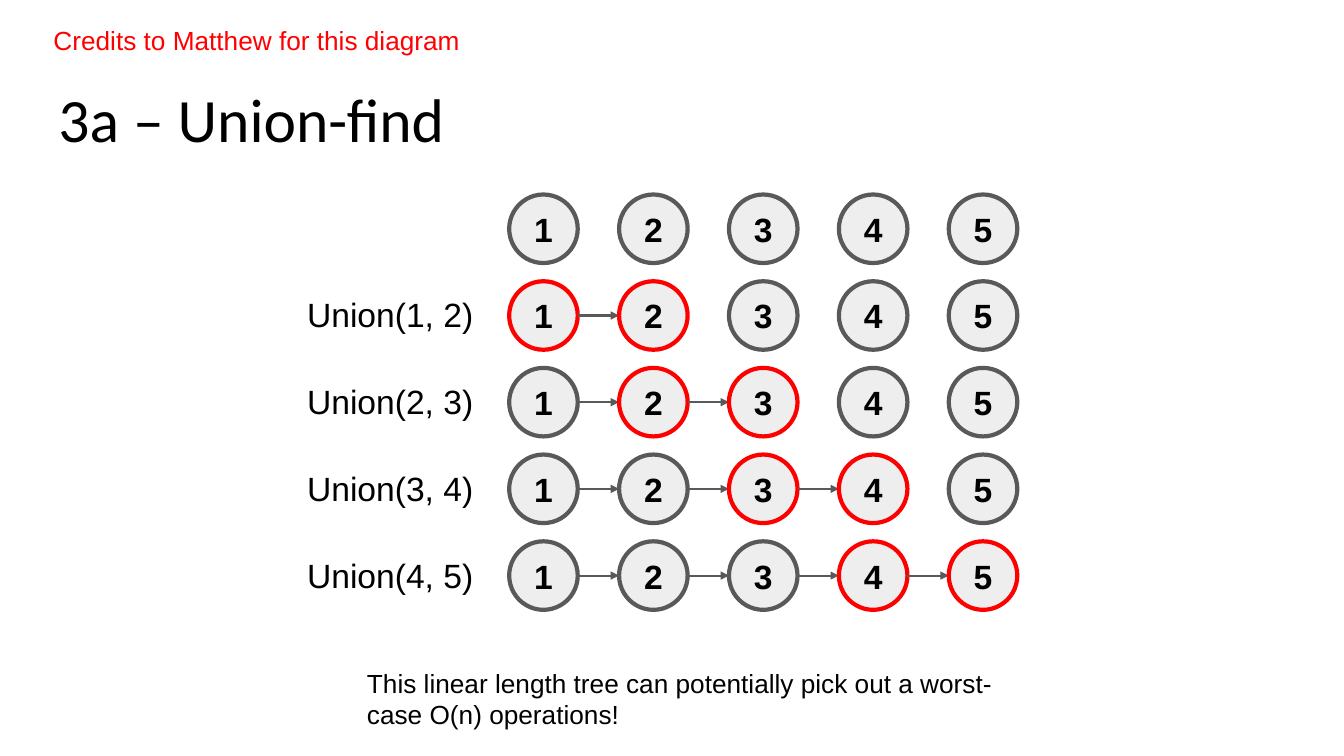
from dataclasses import dataclass

from lxml.etree import SubElement
from pptx import Presentation
from pptx.dml.color import RGBColor
from pptx.enum.shapes import MSO_CONNECTOR, MSO_SHAPE
from pptx.enum.text import MSO_ANCHOR, PP_ALIGN
from pptx.oxml.ns import qn
from pptx.util import Pt

PX = 9144


@dataclass(frozen=True)
class Theme:
    """Colours, fonts, type sizes and line widths of the slide."""
    ink: str = "000000"
    accent: str = "FF0000"
    outline: str = "595959"
    node_fill: str = "EEEEEE"
    heading_font: str = "Calibri"
    body_font: str = "Arial"
    title_size: float = 44
    diagram_size: float = 24
    note_size: float = 18.7
    ring_width: float = 3
    link_width: float = 1.5


THEME = Theme()


def px(*lengths):
    """Turn pixel lengths into EMU."""
    return [length * PX for length in lengths]


def write(shape, words, size, color=THEME.ink, font=THEME.body_font,
          align=PP_ALIGN.LEFT, anchor=MSO_ANCHOR.TOP, bold=False):
    """Put one styled paragraph into a shape."""
    frame = shape.text_frame
    frame.text = words
    frame.word_wrap = True
    frame.vertical_anchor = anchor
    frame.margin_left = frame.margin_right = 13 * PX
    frame.margin_top = frame.margin_bottom = 13 * PX
    paragraph = frame.paragraphs[0]
    paragraph.alignment = align
    style = paragraph.runs[0].font
    style.name, style.size, style.bold = font, Pt(size), bold
    style.color.rgb = RGBColor.from_string(color)


def add_words(slide, box, words, size, **style):
    """Add a text box filling the given box."""
    write(slide.shapes.add_textbox(*px(*box)), words, size, **style)


def add_node(slide, box, number, ring):
    """Add a numbered circle with the given ring colour."""
    node = slide.shapes.add_shape(MSO_SHAPE.OVAL, *px(*box))
    node.shadow.inherit = False
    node.fill.solid()
    node.fill.fore_color.rgb = RGBColor.from_string(THEME.node_fill)
    node.line.color.rgb = RGBColor.from_string(ring)
    node.line.width = Pt(THEME.ring_width)
    write(node, str(number), THEME.diagram_size, bold=True,
          align=PP_ALIGN.CENTER, anchor=MSO_ANCHOR.MIDDLE)


def add_link(slide, left, right, middle):
    """Add a horizontal arrow between two nodes."""
    link = slide.shapes.add_connector(
        MSO_CONNECTOR.STRAIGHT, *px(left, middle, right, middle))
    link.line.color.rgb = RGBColor.from_string(THEME.outline)
    link.line.width = Pt(THEME.link_width)
    SubElement(link.line._get_or_add_ln(), qn("a:tailEnd"), type="triangle")
    SubElement(link._element.spPr, qn("a:effectLst"))


def add_union_step(slide, box, step, node_count):
    """Draw the chain after a number of unions, with its label."""
    left, top, width, size = box
    label_width, first_node = 200, 218
    pitch = (width - first_node - size) // (node_count - 1)
    if step:
        add_words(slide, (left, top, label_width, size),
                  f"Union({step}, {step + 1})", THEME.diagram_size,
                  align=PP_ALIGN.CENTER)
    for number in range(1, node_count + 1):
        node_left = left + first_node + (number - 1) * pitch
        joined = step and number in (step, step + 1)
        ring = THEME.accent if joined else THEME.outline
        add_node(slide, (node_left, top, size, size), number, ring)
        if number <= step:
            add_link(slide, node_left + size, node_left + pitch,
                     top + size // 2)


def add_union_diagram(slide, box, node_count=5):
    """Stack one row per union step, evenly spaced in the box."""
    left, top, width, height = box
    node_size = 68
    pitch = (height - node_size) // (node_count - 1)
    for step in range(node_count):
        row = (left, top + step * pitch, width, node_size)
        add_union_step(slide, row, step, node_count)


def build_union_find_slide(slide):
    """Place the title, diagram, credit and conclusion."""
    add_words(slide, (45, 67, 1242, 84), "3a – Union-find",
              THEME.title_size, font=THEME.heading_font)
    add_union_diagram(slide, (287, 193, 722, 412))
    add_words(slide, (24, 11, 461, 49), "Credits to Matthew for this diagram",
              THEME.note_size, color=THEME.accent, align=PP_ALIGN.CENTER)
    add_words(slide, (351, 649, 688, 84),
              "This linear length tree can potentially pick out a "
              "worst-case O(n) operations!", THEME.note_size)


def main():
    """Create and save the presentation."""
    deck = Presentation()
    deck.slide_width, deck.slide_height = px(1333, 750)
    build_union_find_slide(deck.slides.add_slide(deck.slide_layouts[6]))
    deck.save("out.pptx")


if __name__ == "__main__":
    main()
